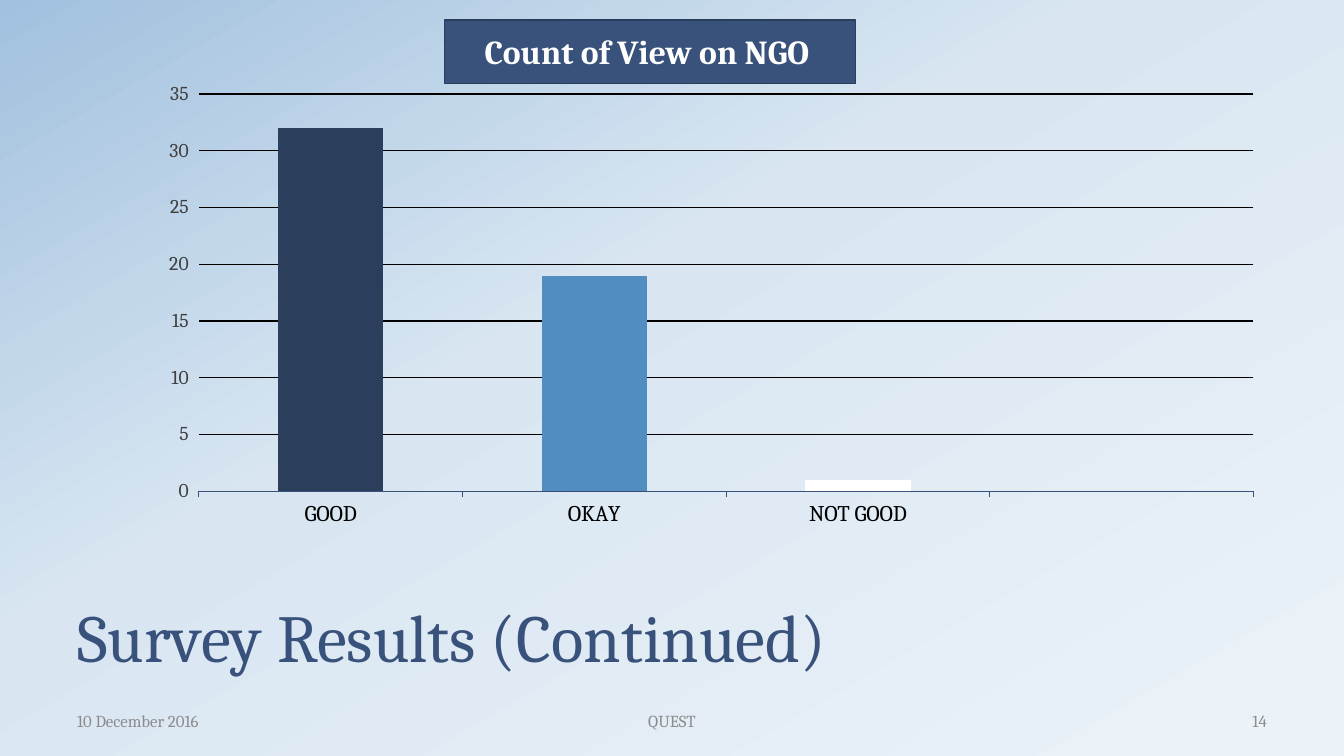
import copy

import pptx
import pptx.chart.data
import pptx.dml.color
import pptx.enum.chart
import pptx.enum.shapes
import pptx.enum.text
import pptx.oxml
import pptx.oxml.ns
import pptx.util

Pt = pptx.util.Pt
ALIGN = pptx.enum.text.PP_ALIGN
ANCHOR = pptx.enum.text.MSO_ANCHOR

COLORS = {
    "navy": "39527B",
    "navy_edge": "2A3D5B",
    "good": "2B3E5C",
    "okay": "528DC2",
    "white": "FFFFFF",
    "black": "000000",
    "axis_text": "404040",
    "footer": "8C8C8C",
    "back_light": "ECF3F8",
    "back_middle": "D9E6F2",
    "back_dark": "A1C1DE",
}


def rgb(name):
    return pptx.dml.color.RGBColor.from_string(COLORS[name])


class SlideBuilder:
    """Holds the style and the current slide."""

    font_name = "Cambria"

    def __init__(self, slide):
        self.slide = slide

    def set_font(self, font, size, color, bold=False):
        font.name = self.font_name
        font.size = Pt(size)
        font.bold = bold
        font.color.rgb = rgb(color)

    def background(self, stops, angle):
        fill = self.slide.background.fill
        fill.gradient()
        fill.gradient_angle = angle
        stop_list = self.slide.element.find(".//" + pptx.oxml.ns.qn("a:gsLst"))
        while len(stop_list) < len(stops):
            stop_list.append(copy.deepcopy(stop_list[0]))
        for stop, (position, color) in zip(fill.gradient_stops, stops):
            stop.position = position
            stop.color.rgb = rgb(color)

    def text(self, box, text, size, color, align=ALIGN.LEFT,
             anchor=ANCHOR.MIDDLE, bold=False, line_spacing=None):
        frame = self.slide.shapes.add_textbox(*map(Pt, box)).text_frame
        frame.word_wrap = True
        frame.vertical_anchor = anchor
        paragraph = frame.paragraphs[0]
        paragraph.text = text
        paragraph.alignment = align
        paragraph.line_spacing = line_spacing
        self.set_font(paragraph.font, size, color, bold)

    def rectangle(self, box, fill, line):
        shape = self.slide.shapes.add_shape(
            pptx.enum.shapes.MSO_SHAPE.RECTANGLE, *map(Pt, box))
        shape.shadow.inherit = False
        shape.fill.solid()
        shape.fill.fore_color.rgb = rgb(fill)
        shape.line.color.rgb = rgb(line)
        shape.line.width = Pt(1)

    def stacked_columns(self, box, categories, series, plot_area):
        data = pptx.chart.data.CategoryChartData()
        data.categories = categories
        for name, values, _ in series:
            data.add_series(name, values)
        chart = self.slide.shapes.add_chart(
            pptx.enum.chart.XL_CHART_TYPE.COLUMN_STACKED,
            *map(Pt, box), data).chart
        chart.has_legend = False
        chart.has_title = False
        self.set_font(chart.font, 10, "axis_text")

        plot = chart.plots[0]
        plot.gap_width = 150
        plot.overlap = 100
        plot.vary_by_categories = False
        for column, (_, _, color) in zip(plot.series, series):
            column.format.fill.solid()
            column.format.fill.fore_color.rgb = rgb(color)

        category_axis = chart.category_axis
        self.set_font(category_axis.tick_labels.font, 16, "black")
        category_axis.format.line.color.rgb = rgb("navy")
        category_axis.format.line.width = Pt(0.5)

        value_axis = chart.value_axis
        self.set_font(value_axis.tick_labels.font, 14, "axis_text")
        value_axis.minimum_scale = 0
        value_axis.maximum_scale = 35
        value_axis.major_unit = 5
        value_axis.format.line.fill.background()
        value_axis.major_gridlines.format.line.color.rgb = rgb("black")
        value_axis.major_gridlines.format.line.width = Pt(0.75)

        # Fixed inner plot area, as fractions of the chart
        area = chart.element.find(".//" + pptx.oxml.ns.qn("c:plotArea"))
        for old in area.findall(pptx.oxml.ns.qn("c:layout")):
            area.remove(old)
        sizes = "".join(f'<c:{key} val="{value}"/>'
                        for key, value in zip("xywh", plot_area))
        area.insert(0, pptx.oxml.parse_xml(
            f'<c:layout {pptx.oxml.ns.nsdecls("c")}><c:manualLayout>'
            '<c:layoutTarget val="inner"/><c:xMode val="edge"/>'
            f'<c:yMode val="edge"/>{sizes}</c:manualLayout></c:layout>'))


def main():
    presentation = pptx.Presentation()
    presentation.slide_width = Pt(960)
    presentation.slide_height = Pt(540)
    builder = SlideBuilder(
        presentation.slides.add_slide(presentation.slide_layouts[6]))

    builder.background(
        [(0, "back_light"), (0.58, "back_middle"), (1, "back_dark")], 120)

    # Slide title
    builder.text((48, 402, 864, 84), "Survey Results (Continued)", 48, "navy",
                 anchor=ANCHOR.BOTTOM, line_spacing=0.8)

    # Footer
    for left, width, text, align in (
            (48, 224, "10 December 2016", ALIGN.LEFT),
            (328, 304, "QUEST", ALIGN.CENTER),
            (688, 224, "14", ALIGN.RIGHT)):
        builder.text((left, 500.5, width, 28.75), text, 12, "footer", align)

    # Survey chart; the fourth category is empty
    builder.stacked_columns(
        (101.5, 54, 810, 330),
        ["GOOD", "OKAY", "NOT GOOD", ""],
        [("Series 1", (32, 0, 0, None), "good"),
         ("Series 2", (0, 19, 0, None), "okay"),
         ("Series 3", (0, 0, 1, None), "white")],
        plot_area=(0.05, 0.04, 0.93, 0.86))

    # Chart heading
    builder.rectangle((317.5, 14.4, 293.8, 45.4), "navy", "navy_edge")
    builder.text((339, 18.7, 281.5, 36), "Count of View on NGO", 24, "white",
                 anchor=ANCHOR.TOP, bold=True)

    presentation.save("out.pptx")


if __name__ == "__main__":
    main()
